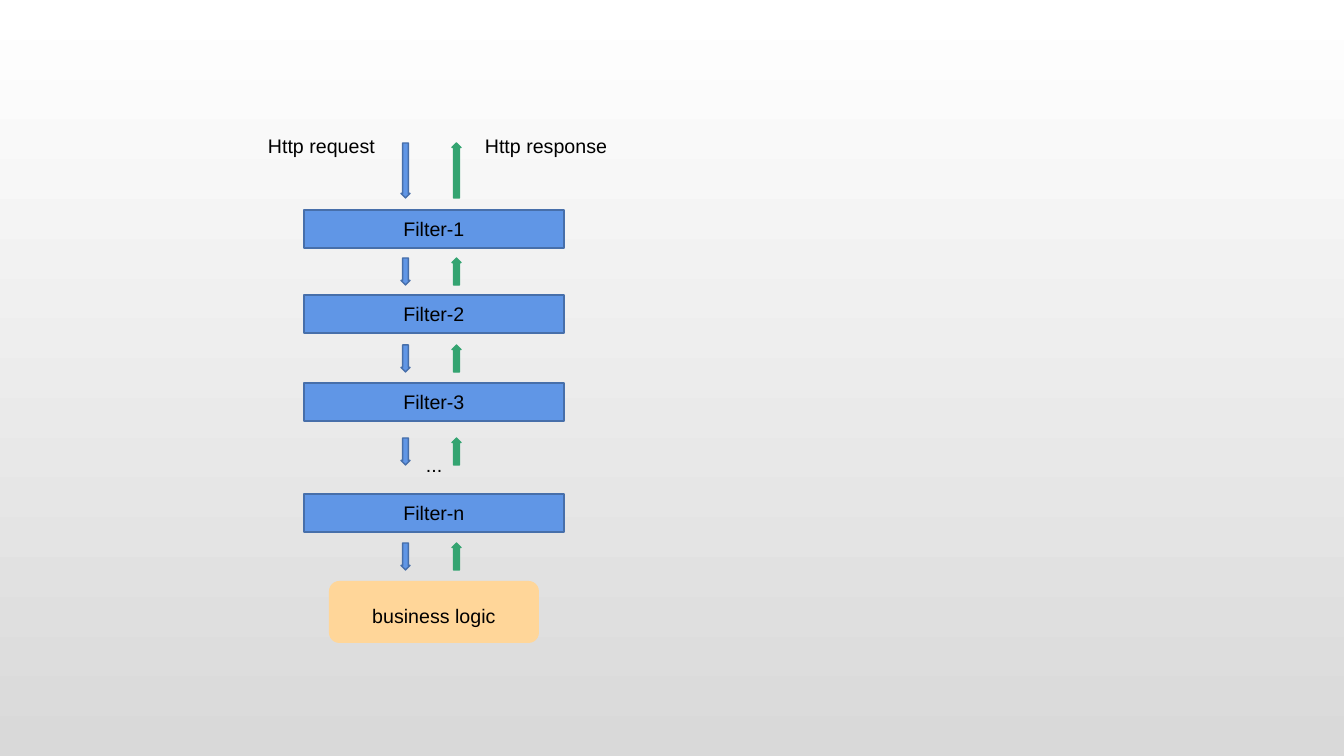
"""Build the HTTP filter chain slide."""
from pptx import Presentation
from pptx.dml.color import RGBColor
from pptx.enum.shapes import MSO_SHAPE
from pptx.enum.text import MSO_ANCHOR, MSO_AUTO_SIZE, PP_ALIGN
from pptx.util import Pt

RECT, ROUNDED, ARROW = MSO_SHAPE.RECTANGLE, MSO_SHAPE.ROUNDED_RECTANGLE, MSO_SHAPE.DOWN_ARROW
MIDDLE, CENTER, LEFT = MSO_ANCHOR.MIDDLE, PP_ALIGN.CENTER, PP_ALIGN.LEFT
NO_FIT = MSO_AUTO_SIZE.NONE

COLORS = {
    "request": "6096E6", "request_line": "476FAA", "response": "34A471",
    "logic": "FFD699", "text": "000000", "top": "FFFFFF", "bottom": "D9D9D9",
}
FILTERS = [("Filter-1", 210), ("Filter-2", 295), ("Filter-3", 383), ("Filter-n", 494)]
LOGIC = ("business logic", (329, 581, 210, 62))
LABELS = [
    ("Http request", (258, 129, 134, 34)),
    ("Http response", (475, 129, 150, 34)),
    ("...", (416, 448, 44, 34)),
]
HOPS = [(143, 55), (258, 27), (345, 27), (438, 27), (543, 27)]
DIRECTIONS = [(401, 0, "request", "request_line"), (452, 180, "response", "response")]
FILTER_LEFT, FILTER_WIDTH, FILTER_HEIGHT = 304, 260, 38
ARROW_WIDTH = 9
LOGIC_TEXT_DROP = 8
EMU_PER_PIXEL = 914400 / 100.8


def px(value):
    return round(value * EMU_PER_PIXEL)


def color(name):
    return RGBColor.from_string(COLORS[name])


def write(part, text, align=CENTER):
    frame = part.text_frame
    frame.text = text
    frame.word_wrap = True
    frame.auto_size = NO_FIT
    frame.vertical_anchor = MIDDLE
    paragraph = frame.paragraphs[0]
    paragraph.alignment = align
    font = paragraph.runs[0].font
    font.name, font.size = "Arial", Pt(14)
    font.color.rgb = color("text")
    return frame


def add_block(kind, box, fill, line=None):
    block = slide.shapes.add_shape(kind, *map(px, box))
    block.shadow.inherit = False
    block.fill.solid()
    block.fill.fore_color.rgb = color(fill)
    if line:
        block.line.color.rgb = color(line)
        block.line.width = Pt(1)
    else:
        block.line.fill.background()
    return block


prs = Presentation()
prs.slide_width, prs.slide_height = px(1344), px(756)
slide = prs.slides.add_slide(prs.slide_layouts[6])

backdrop = slide.background.fill
backdrop.gradient()
backdrop.gradient_angle = 270
for stop, name, position in zip(backdrop.gradient_stops, ("top", "bottom"), (0, 1)):
    stop.color.rgb = color(name)
    stop.position = position

for name, top in FILTERS:
    box = (FILTER_LEFT, top, FILTER_WIDTH, FILTER_HEIGHT)
    write(add_block(RECT, box, "request", "request_line"), name)

logic_text, logic_box = LOGIC
logic_frame = write(add_block(ROUNDED, logic_box, "logic"), logic_text)
logic_frame.margin_top, logic_frame.margin_bottom = px(LOGIC_TEXT_DROP), 0

for left, rotation, fill, line in DIRECTIONS:
    for top, length in HOPS:
        arrow = add_block(ARROW, (left, top, ARROW_WIDTH, length), fill, line)
        arrow.adjustments[0] = 0.63
        arrow.rotation = rotation

for text, box in LABELS:
    write(slide.shapes.add_textbox(*map(px, box)), text, LEFT)

prs.save("out.pptx")
